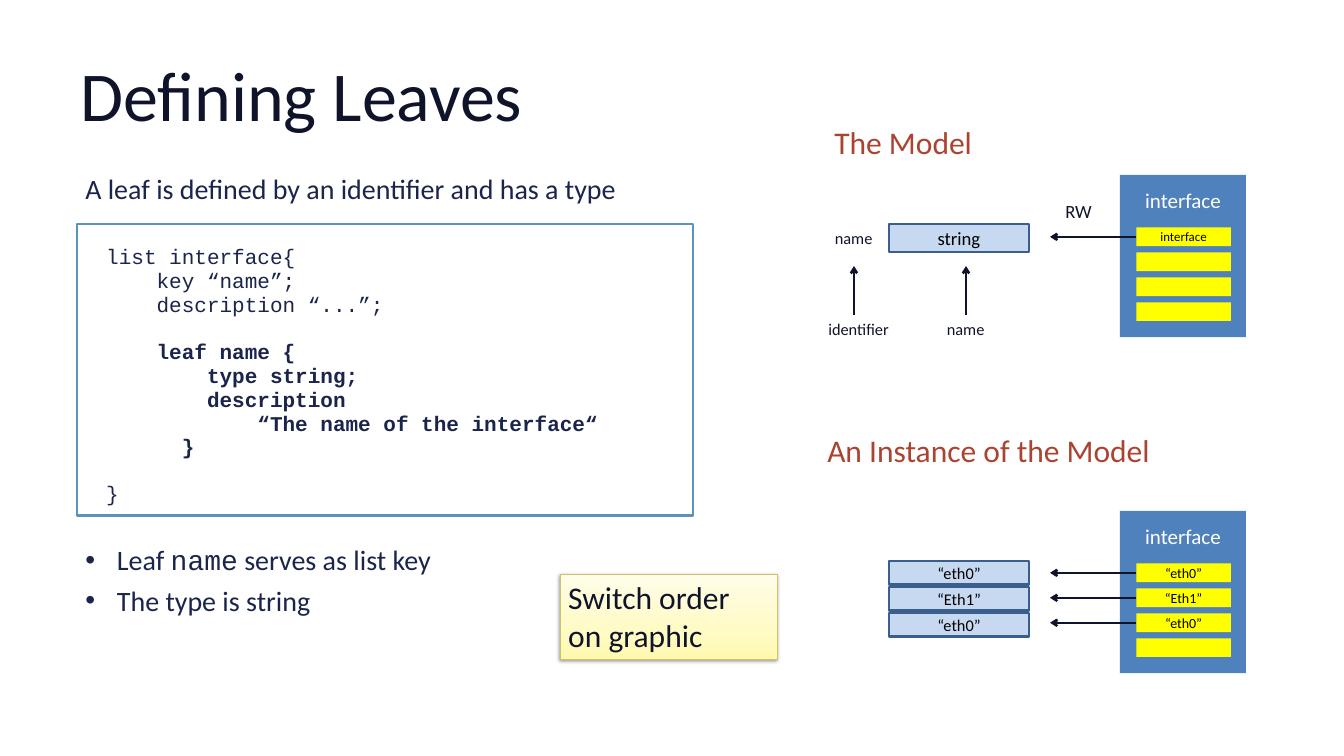
from dataclasses import dataclass

from lxml import etree
from pptx import Presentation
from pptx.dml.color import RGBColor
from pptx.enum.shapes import MSO_CONNECTOR, MSO_SHAPE
from pptx.enum.text import MSO_ANCHOR, MSO_AUTO_SIZE, PP_ALIGN
from pptx.oxml import parse_xml
from pptx.oxml.ns import nsdecls, qn
from pptx.util import Pt

RECTANGLE = MSO_SHAPE.RECTANGLE
STRAIGHT = MSO_CONNECTOR.STRAIGHT
LEFT, CENTER, RIGHT = PP_ALIGN.LEFT, PP_ALIGN.CENTER, PP_ALIGN.RIGHT
MIDDLE = MSO_ANCHOR.MIDDLE
FIXED_SIZE = MSO_AUTO_SIZE.NONE
LEFT_SIDE = 1


@dataclass(frozen=True)
class Theme:
    sans: str = "Calibri"
    mono: str = "Courier New"
    ink: str = "0F142A"
    body: str = "1B244B"
    heading: str = "AA4330"
    black: str = "000000"
    white: str = "FFFFFF"
    code_line: str = "5C93B7"
    value_fill: str = "C6D9F1"
    value_line: str = "3A5F8C"
    panel: str = "4F81BD"
    entry: str = "FFFF00"
    note_line: str = "CBC564"
    note_stops: tuple = ((0, "FFF9B0"), (35, "FFFBC6"), (100, "FFFDE9"))
    title_size: int = 60
    heading_size: int = 27
    body_size: int = 24
    code_size: int = 18
    panel_size: int = 18
    type_size: int = 16
    label_size: int = 14
    entry_size: int = 12
    small_size: int = 11


THEME = Theme()


def place(shape, box):
    shape.left, shape.top, shape.width, shape.height = map(Pt, box)


def style(font, size, color, name=THEME.sans):
    font.size, font.name = Pt(size), name
    font.color.rgb = RGBColor.from_string(color)


def add_text(slide, box, text, size, color, align=LEFT, wrap=False):
    text_box = slide.shapes.add_textbox(*map(Pt, box))
    text_box.text_frame.word_wrap = wrap
    paragraph = text_box.text_frame.paragraphs[0]
    paragraph.text, paragraph.alignment = text, align
    style(paragraph.font, size, color)
    return text_box


def add_rectangle(slide, box, fill=None, line=None, line_width=2, text="", size=THEME.entry_size):
    shape = slide.shapes.add_shape(RECTANGLE, *map(Pt, box))
    shape.shadow.inherit = False
    if fill:
        shape.fill.solid()
        shape.fill.fore_color.rgb = RGBColor.from_string(fill)
    else:
        shape.fill.background()
    if line:
        shape.line.color.rgb = RGBColor.from_string(line)
        shape.line.width = Pt(line_width)
    else:
        shape.line.fill.background()
    if text:
        shape.text_frame.vertical_anchor = MIDDLE
        paragraph = shape.text_frame.paragraphs[0]
        paragraph.text, paragraph.alignment = text, CENTER
        style(paragraph.font, size, THEME.black)
    return shape


def add_arrow(slide, start, end):
    arrow = slide.shapes.add_connector(STRAIGHT, *map(Pt, start + end))
    arrow.line.color.rgb = RGBColor.from_string(THEME.ink)
    arrow.line.width = Pt(2)
    etree.SubElement(arrow.line._get_or_add_ln(), qn("a:tailEnd"), type="arrow")
    etree.SubElement(arrow._element.spPr, qn("a:effectLst"))
    return arrow


def add_title(slide, box):
    title = slide.shapes.title
    place(title, box)
    frame = title.text_frame
    frame.auto_size, frame.vertical_anchor = FIXED_SIZE, MIDDLE
    frame.margin_left = frame.margin_right = Pt(11)
    frame.margin_top = frame.margin_bottom = Pt(6)
    paragraph = frame.paragraphs[0]
    paragraph.text, paragraph.alignment = "Defining Leaves", LEFT
    style(paragraph.font, THEME.title_size, THEME.ink)


def add_bullets(slide, box):
    body = slide.placeholders[1]
    place(body, box)
    frame = body.text_frame
    frame.auto_size = FIXED_SIZE
    points = [[("Leaf ", THEME.sans), ("name", THEME.mono), (" serves as list key", THEME.sans)],
              [("The type is string", THEME.sans)]]
    for index, runs in enumerate(points):
        paragraph = frame.add_paragraph() if index else frame.paragraphs[0]
        paragraph.line_spacing, paragraph.space_before = 1.2, Pt(0)
        properties = paragraph._p.get_or_add_pPr()
        properties.set("marL", str(Pt(27)))
        properties.set("indent", str(Pt(-27)))
        etree.SubElement(properties, qn("a:buFont"), typeface="Arial")
        etree.SubElement(properties, qn("a:buChar"), char="•")
        for text, font_name in runs:
            run = paragraph.add_run()
            run.text = text
            style(run.font, THEME.body_size, THEME.body, font_name)


def add_code(slide, box):
    left, top, width, height = box
    add_rectangle(slide, box, line=THEME.code_line, line_width=2.25)
    code_box = slide.shapes.add_textbox(Pt(left + 18), Pt(top + 15), Pt(width - 90), Pt(height - 26))
    frame = code_box.text_frame
    frame.word_wrap = True
    blocks = [
        (False, ["list interface{", "    key “name”;", "    description “...”;"]),
        (True, ["    leaf name {", "        type string;", "        description",
                "            “The name of the interface“", "      }"]),
        (False, ["}"]),
    ]
    for block_index, (bold, lines) in enumerate(blocks):
        for line_index, line in enumerate(lines):
            first = block_index == line_index == 0
            paragraph = frame.paragraphs[0] if first else frame.add_paragraph()
            paragraph.text, paragraph.line_spacing = line, 0.95
            if block_index and not line_index:
                paragraph.space_before = Pt(19.4)
            style(paragraph.font, THEME.code_size, THEME.body, THEME.mono)
            paragraph.font.bold = bold


def add_panel(slide, box, entries, size):
    """Draw the interface list, with an arrow out of each named entry."""
    left, top, width, height = box
    add_rectangle(slide, box, THEME.panel)
    add_text(slide, (left + 14, top + 7, width - 28, 29), "interface",
             THEME.panel_size, THEME.white, CENTER)
    for index in range(4):
        entry_top = top + 45 + 21.4 * index
        text = entries[index] if index < len(entries) else ""
        entry = add_rectangle(slide, (left + 14, entry_top, width - 27, 16),
                              THEME.entry, text=text, size=size)
        if text:
            middle = entry_top + 8
            arrow = add_arrow(slide, (left + 14, middle), (left - 60, middle))
            arrow.begin_connect(entry, LEFT_SIDE)


def add_model(slide, box):
    left, top, width, height = box
    add_text(slide, (left + 6, top, 134, 40), "The Model", THEME.heading_size, THEME.heading)
    add_panel(slide, (left + 258, top + 48, 108, 139), ["interface"], THEME.small_size)
    add_rectangle(slide, (left + 60, top + 90, 120, 24), THEME.value_fill, THEME.value_line,
                  text="string", size=THEME.type_size)
    add_text(slide, (left + 204, top + 66, 37, 27), "RW", THEME.type_size, THEME.ink)
    labels = [("name", 6, 90, 47), ("identifier", 0, 168, 67), ("name", 102, 168, 47)]
    for text, x, y, label_width in labels:
        add_text(slide, (left + x, top + y, label_width, 24), text,
                 THEME.label_size, THEME.ink, RIGHT)
    for x in (30, 126):
        add_arrow(slide, (left + x, top + 168), (left + x, top + 126))


def add_instance(slide, box):
    left, top, width, height = box
    names = ["“eth0”", "“Eth1”", "“eth0”"]
    add_text(slide, (left, top, 295, 40), "An Instance of the Model",
             THEME.heading_size, THEME.heading)
    add_panel(slide, (left + 258, top + 72, 108, 139), names, THEME.entry_size)
    for index, name in enumerate(names):
        add_rectangle(slide, (left + 60, top + 115 + 22.3 * index, 120, 20),
                      THEME.value_fill, THEME.value_line, text=name, size=THEME.label_size)


def add_note(slide, box):
    note = add_rectangle(slide, box, line=THEME.note_line, line_width=0.75)
    stops = "".join(f'<a:gs pos="{position * 1000}"><a:srgbClr val="{color}"/></a:gs>'
                    for position, color in THEME.note_stops)
    properties = note._element.spPr
    properties.replace(properties.find(qn("a:noFill")), parse_xml(
        f'<a:gradFill {nsdecls("a")} rotWithShape="1"><a:gsLst>{stops}</a:gsLst>'
        '<a:lin ang="16200000" scaled="0"/></a:gradFill>'))
    properties.replace(properties.find(qn("a:effectLst")), parse_xml(
        f'<a:effectLst {nsdecls("a")}><a:outerShdw blurRad="{Pt(3.1)}" dist="{Pt(1.6)}" '
        f'dir="5400000" rotWithShape="0"><a:srgbClr val="{THEME.black}">'
        '<a:alpha val="38000"/></a:srgbClr></a:outerShdw></a:effectLst>'))
    add_text(slide, box, "Switch order on graphic", THEME.heading_size, THEME.ink, wrap=True)


def main():
    presentation = Presentation()
    presentation.slide_width, presentation.slide_height = Pt(1152), Pt(648)
    slide = presentation.slides.add_slide(presentation.slide_layouts[1])
    add_title(slide, (57.6, 26, 1036.8, 108))
    lead = add_text(slide, (66, 138, 528, 41), "A leaf is defined by an identifier and has a type",
                    THEME.body_size, THEME.body, wrap=True)
    lead.text_frame.paragraphs[0].line_spacing = 1.2
    add_code(slide, (66, 192, 528, 250))
    add_bullets(slide, (66, 456, 540, 76))
    add_model(slide, (702, 102, 366, 187))
    add_instance(slide, (702, 366, 366, 211))
    add_note(slide, (480, 492, 186, 73))
    presentation.save("out.pptx")


if __name__ == "__main__":
    main()
